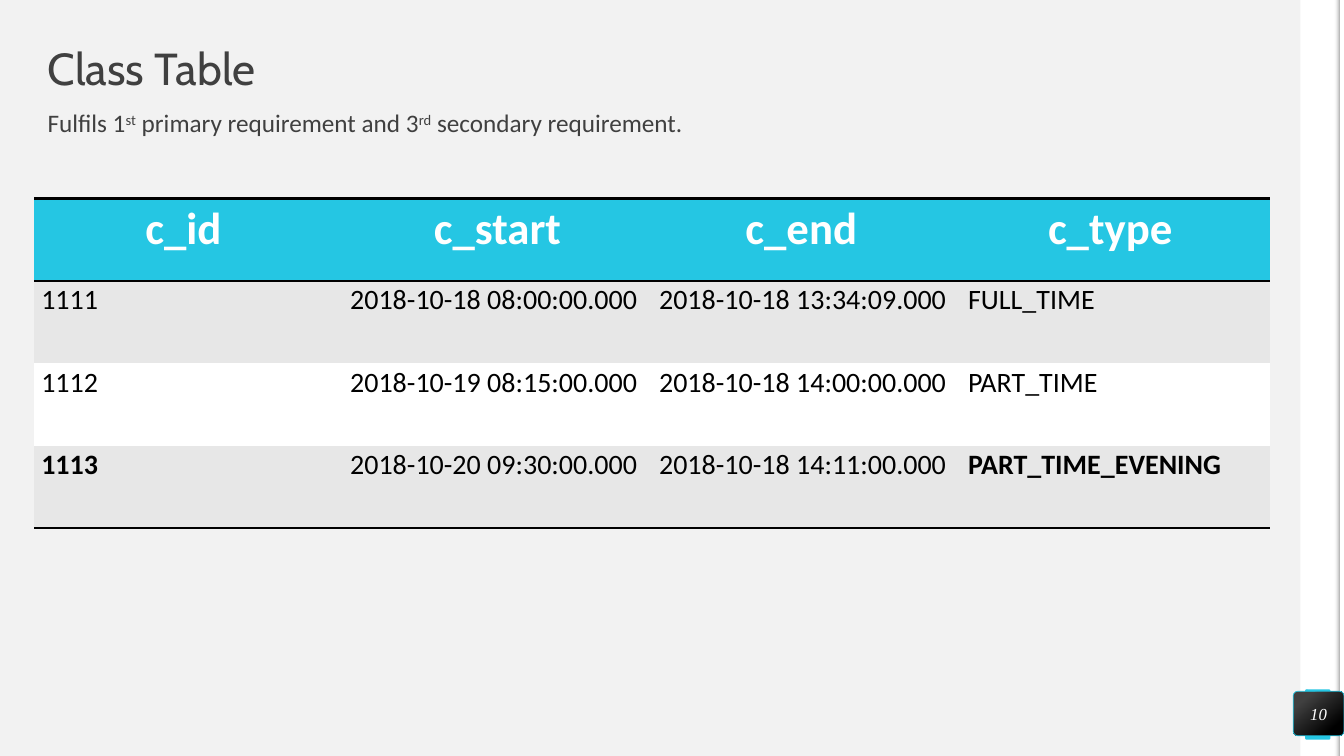
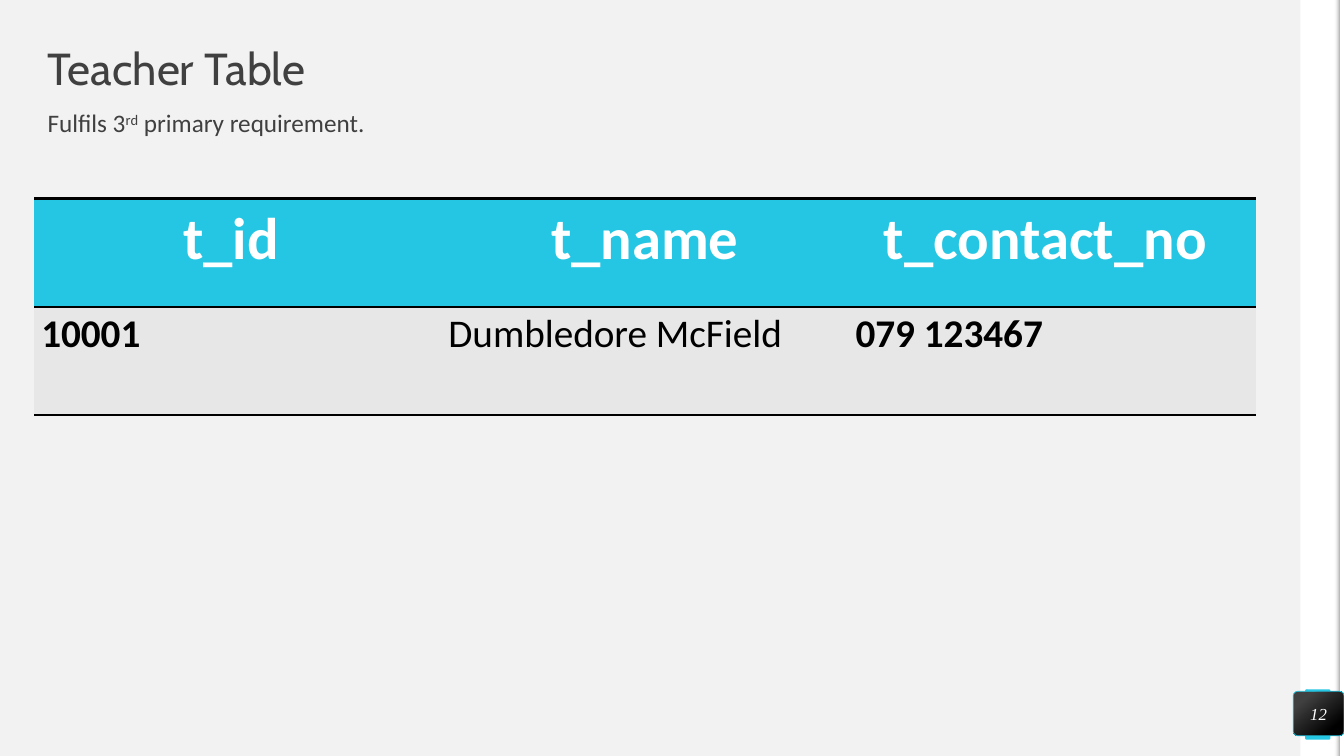
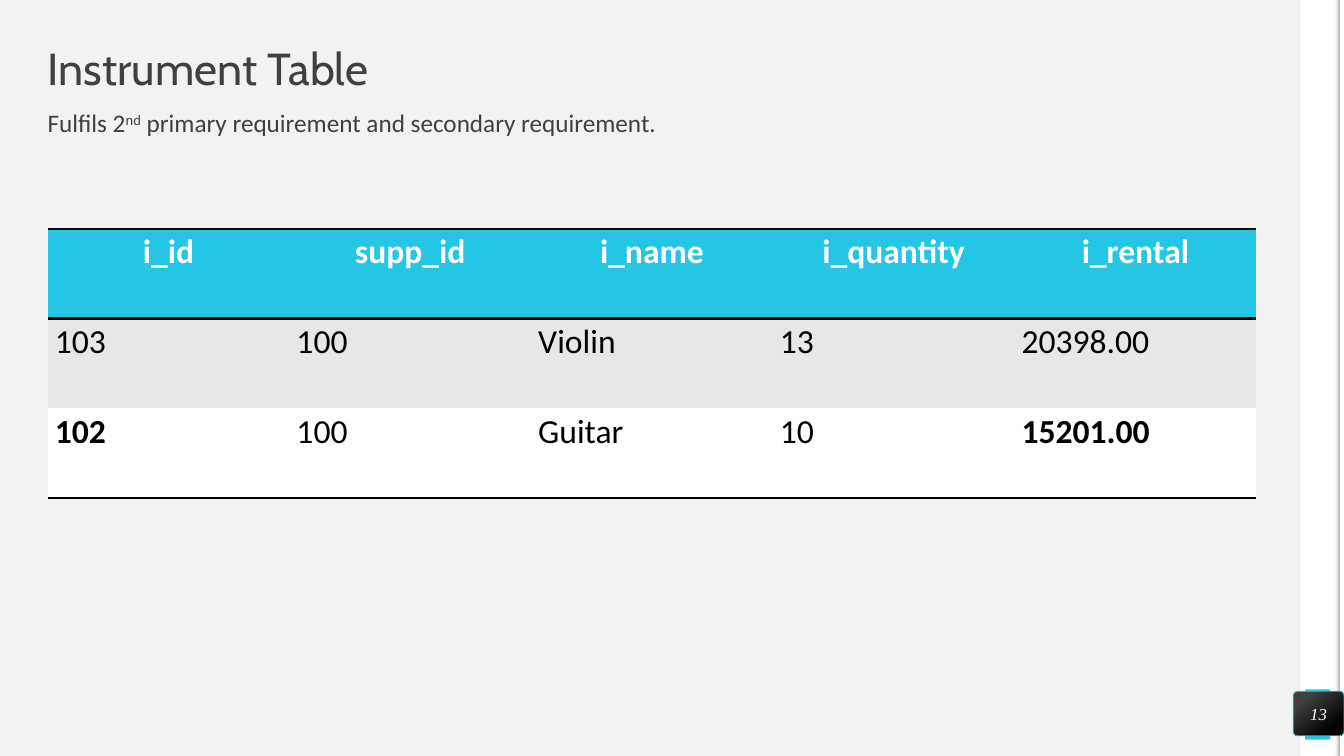
"""Build three slides that show database tables with their requirements."""
import lxml.etree
import pptx
import pptx.dml.color
import pptx.enum.shapes
import pptx.enum.text
import pptx.oxml.ns
import pptx.util

Cm = pptx.util.Cm
Pt = pptx.util.Pt
ALIGN = pptx.enum.text.PP_ALIGN
ANCHOR = pptx.enum.text.MSO_ANCHOR
SHAPE = pptx.enum.shapes.MSO_SHAPE
qn = pptx.oxml.ns.qn

COLORS = {
    "background": "F2F2F2",
    "white": "FFFFFF",
    "black": "000000",
    "accent": "25C6E3",
    "text": "404040",
    "shade": "A6A6A6",
    "stripe": "E7E7E7",
}
PLAIN_TABLE_STYLE = "{2D5ABB26-0587-4C30-8999-92F81FD0307C}"

SLIDES = [
    {
        "title": "Class Table",
        "subtitle": "Fulfils 1^st^ primary requirement and 3^rd^ secondary requirement.",
        "number": "10",
        "box": (0.86, 5, 31.14, 8.31),
        "sizes": (32, 20),
        "rows": [
            ["c_id ", "c_start", "c_end ", "c_type "],
            ["1111", "2018-10-18 08:00:00.000", "2018-10-18 13:34:09.000", "FULL_TIME"],
            ["1112", "2018-10-19 08:15:00.000", "2018-10-18 14:00:00.000", "PART_TIME"],
            ["1113", "2018-10-20 09:30:00.000", "2018-10-18 14:11:00.000", "PART_TIME_EVENING"],
        ],
    },
    {
        "title": "Teacher Table",
        "subtitle": "Fulfils 3^rd^ primary requirement.",
        "number": "12",
        "box": (0.86, 5, 30.78, 5.46),
        "sizes": (42, 28),
        "rows": [
            ["t_id ", "t_name", "t_contact_no "],
            ["10001", "Dumbledore McField", "079 123467"],
        ],
    },
    {
        "title": "Instrument Table",
        "subtitle": "Fulfils 2^nd^ primary requirement and secondary requirement.",
        "number": "13",
        "box": (1.2, 5.77, 30.46, 6.78),
        "sizes": (24, 24),
        "rows": [
            ["i_id", "supp_id", "i_name", "i_quantity", "i_rental"],
            ["103", "100", "Violin", "13", "20398.00"],
            ["102", "100", "Guitar", "10", "15201.00"],
        ],
    },
]


def rgb(name):
    """Return the named colour."""
    return pptx.dml.color.RGBColor.from_string(COLORS[name])


def write_text(frame, text, size=18, font="Calibri", color="text", bold=False,
               italic=False, align=ALIGN.LEFT, anchor=ANCHOR.TOP, spacing=1.0,
               margins=(0, 0)):
    """Write one formatted paragraph; text between carets is superscript."""
    frame.word_wrap = True
    frame.vertical_anchor = anchor
    frame.margin_left = frame.margin_right = Cm(margins[0])
    frame.margin_top = frame.margin_bottom = Cm(margins[1])
    paragraph = frame.paragraphs[0]
    paragraph.alignment = align
    paragraph.line_spacing = spacing
    for index, part in enumerate(text.split("^")):
        run = paragraph.add_run()
        run.text = part
        run.font.size = Pt(size)
        run.font.name = font
        run.font.bold = bold
        run.font.italic = italic
        run.font.color.rgb = rgb(color)
        if index % 2:
            run.font._element.set("baseline", "30000")


def add_block(slide, box, fill=None, radius=None):
    """Add a rectangle without outline, rounded when a radius is given."""
    kind = SHAPE.RECTANGLE if radius is None else SHAPE.ROUNDED_RECTANGLE
    shape = slide.shapes.add_shape(kind, *map(Cm, box))
    shape.shadow.inherit = False
    shape.line.fill.background()
    if radius is not None:
        shape.adjustments[0] = radius
    if fill:
        shape.fill.solid()
        shape.fill.fore_color.rgb = rgb(fill)
    return shape


def set_gradient(shape, stops, angle):
    """Fill a shape with a linear gradient of two stops."""
    shape.fill.gradient()
    shape.fill.gradient_angle = angle
    for stop, (position, color) in zip(shape.fill.gradient_stops, stops):
        stop.position = position
        stop.color.rgb = rgb(color)


def add_side_band(slide, number):
    """Add the band on the right edge and the slide number badge."""
    add_block(slide, (32.77, 0, 0.99, 19.05), "white")
    add_block(slide, (32.89, 17.37, 0.64, 1.27), "accent", 0.07)
    add_block(slide, (33.74, 0, 0.13, 19.05), "white")
    edge = add_block(slide, (33.62, 0, 0.13, 19.05))
    set_gradient(edge, [(0, "background"), (1, "shade")], 0)
    clear_color = edge._element.spPr.find(".//" + qn("a:srgbClr"))
    lxml.etree.SubElement(clear_color, qn("a:alpha"), val="0")
    badge = add_block(slide, (32.59, 17.42, 1.28, 1.12), radius=0.1)
    set_gradient(badge, [(0.2, "text"), (0.82, "black")], 310)
    badge.line.color.rgb = rgb("accent")
    badge.line.width = Pt(0.5)
    write_text(badge.text_frame, number, size=12, font="Times New Roman", color="white",
               italic=True, align=ALIGN.CENTER, anchor=ANCHOR.MIDDLE)


def add_heading(slide, title, subtitle):
    """Fill the title placeholder and add the line below it."""
    shape = slide.shapes.title
    shape.left, shape.top, shape.width, shape.height = map(Cm, (1.2, 1.2, 31.46, 1.2))
    shape.text_frame.auto_size = pptx.enum.text.MSO_AUTO_SIZE.NONE
    write_text(shape.text_frame, title, size=32, font="Cabin", anchor=ANCHOR.MIDDLE, spacing=0.9)
    box = slide.shapes.add_textbox(*map(Cm, (1.2, 2.8, 31.5, 1)))
    write_text(box.text_frame, subtitle, spacing=0.9)


def add_border(cell, side):
    """Add a black line on one side of a cell."""
    properties = cell._tc.get_or_add_tcPr()
    line = lxml.etree.SubElement(properties, qn("a:" + side), w=str(Pt(2)))
    fill = lxml.etree.SubElement(line, qn("a:solidFill"))
    lxml.etree.SubElement(fill, qn("a:srgbClr"), val=COLORS["black"])


def add_data_table(slide, rows, box, sizes):
    """Add a striped table with a header and bold outer cells in the last row."""
    last_row, last_column = len(rows) - 1, len(rows[0]) - 1
    table = slide.shapes.add_table(len(rows), len(rows[0]), *map(Cm, box)).table
    table._tbl.tblPr.find(qn("a:tableStyleId")).text = PLAIN_TABLE_STYLE
    for row_index, row in enumerate(rows):
        header = row_index == 0
        for column_index, text in enumerate(row):
            cell = table.cell(row_index, column_index)
            if header:
                add_border(cell, "lnT")
            if header or row_index == last_row:
                add_border(cell, "lnB")
            cell.fill.solid()
            band = "stripe" if row_index % 2 else "white"
            cell.fill.fore_color.rgb = rgb("accent" if header else band)
            corner = row_index == last_row and column_index in (0, last_column)
            cell.margin_left = cell.margin_right = Cm(0.18)
            cell.margin_top = cell.margin_bottom = 0
            write_text(cell.text_frame, text, size=sizes[0] if header else sizes[1],
                       color="white" if header else "black", bold=header or corner,
                       align=ALIGN.CENTER if header else ALIGN.LEFT, spacing=1.07)


def main():
    """Build and save the presentation."""
    presentation = pptx.Presentation()
    presentation.slide_width, presentation.slide_height = Cm(33.87), Cm(19.05)
    background = presentation.slide_master.background.fill
    background.solid()
    background.fore_color.rgb = rgb("background")
    for content in SLIDES:
        slide = presentation.slides.add_slide(presentation.slide_layouts[5])
        add_side_band(slide, content["number"])
        add_heading(slide, content["title"], content["subtitle"])
        add_data_table(slide, content["rows"], content["box"], content["sizes"])
    presentation.save("out.pptx")


if __name__ == "__main__":
    main()
